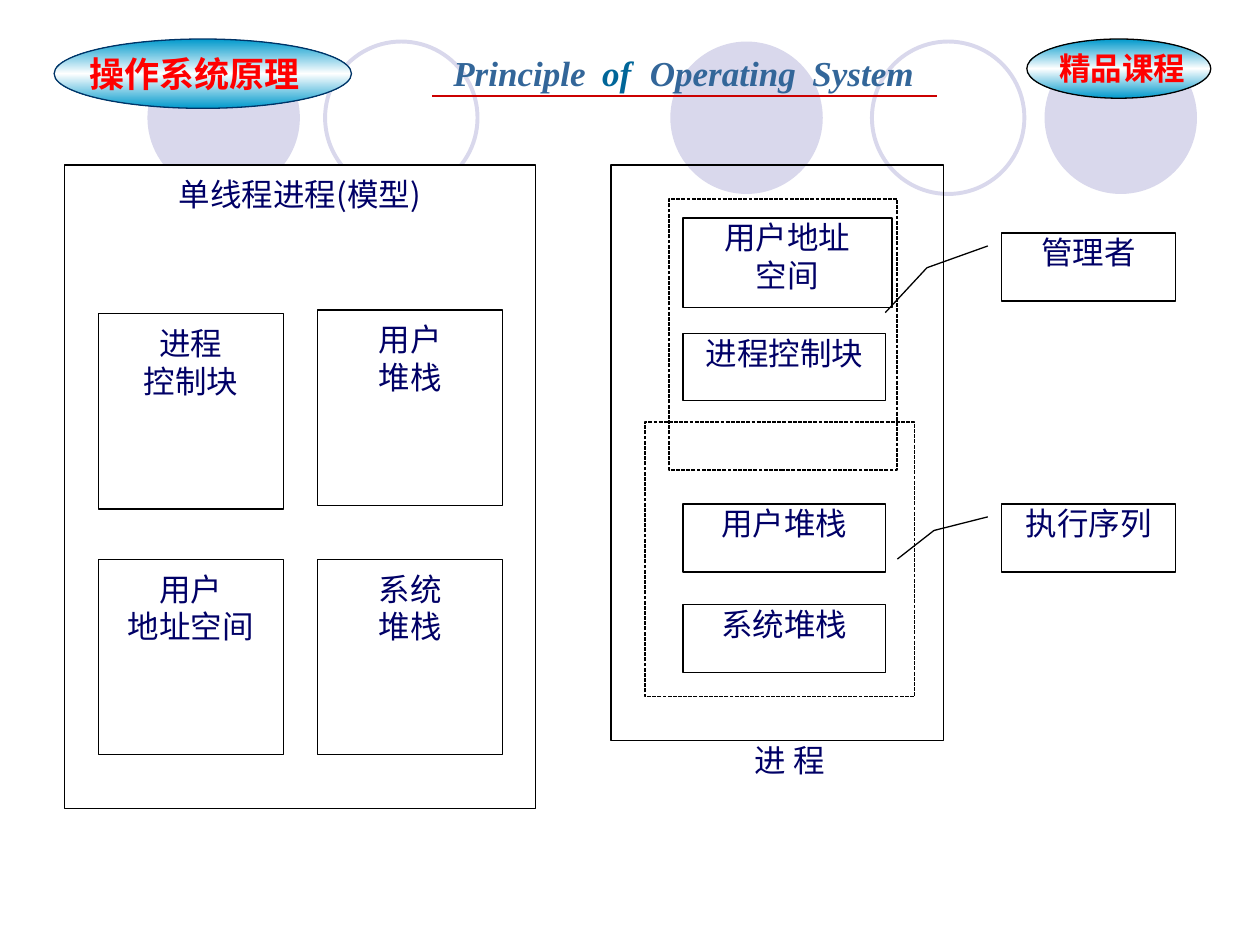
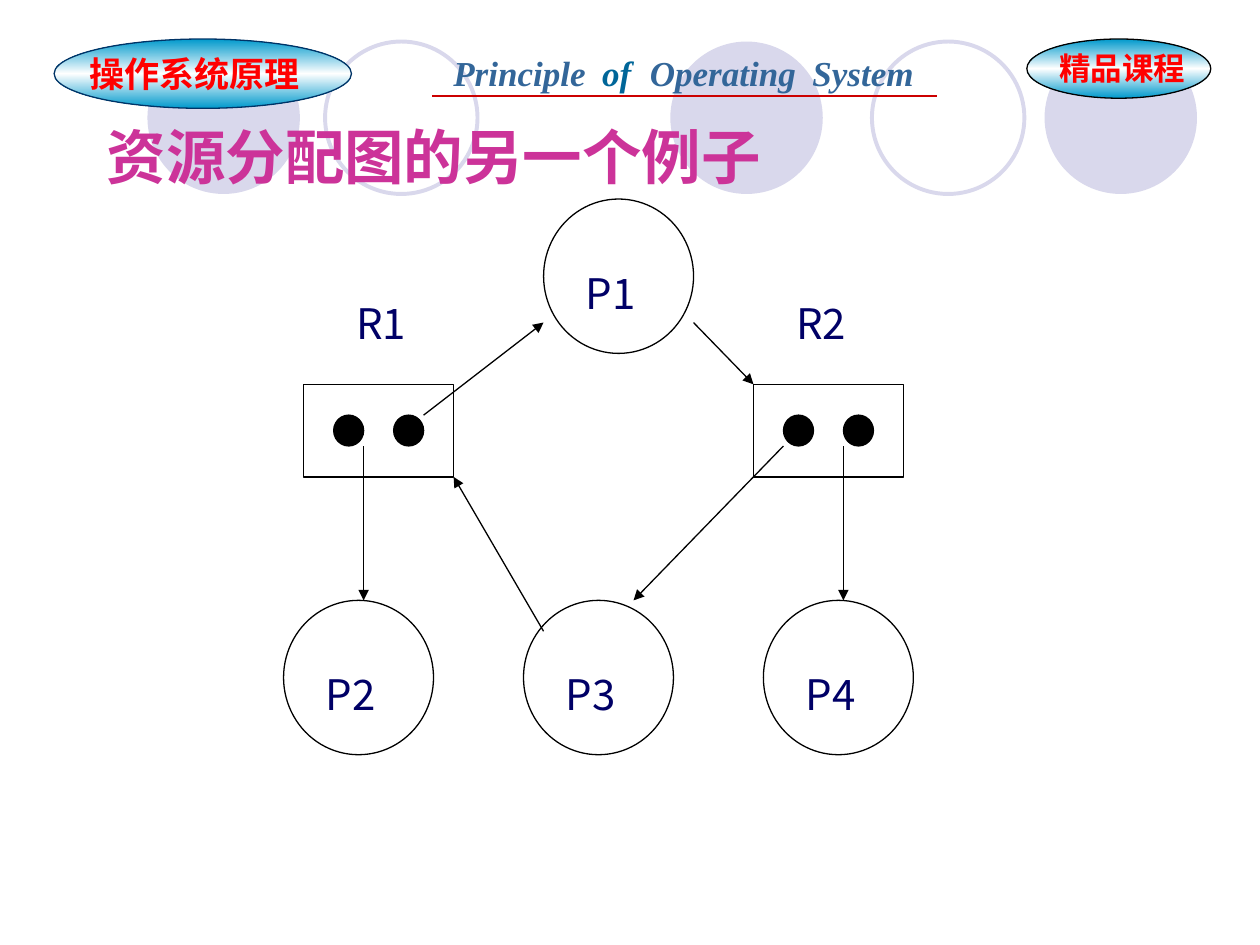
"""Build two operating-system course slides: a process model and a resource graph."""
from copy import deepcopy

from pptx import Presentation
from pptx.dml.color import RGBColor
from pptx.enum.dml import MSO_LINE
from pptx.enum.shapes import MSO_CONNECTOR, MSO_SHAPE
from pptx.enum.text import MSO_ANCHOR, PP_ALIGN
from pptx.oxml.ns import qn
from pptx.util import Inches, Pt

RECT, OVAL, CALL = MSO_SHAPE.RECTANGLE, MSO_SHAPE.OVAL, MSO_SHAPE.LINE_CALLOUT_2
LEFT, MID = PP_ALIGN.LEFT, PP_ALIGN.CENTER
TOP, HALF = MSO_ANCHOR.TOP, MSO_ANCHOR.MIDDLE
DASH, LINE = MSO_LINE.SQUARE_DOT, MSO_CONNECTOR.STRAIGHT

HUE = {
    "white": "FFFFFF", "black": "000000", "navy": "000066", "lilac": "D9D8EC",
    "aqua": "0099CC", "deep": "003366", "red": "FF0000", "rule": "CC0000",
    "steel": "336699", "teal": "006699", "pink": "CC3399",
}
RGB = {name: RGBColor.from_string(code) for name, code in HUE.items()}
CJK, SERIF, SANS = "Noto Sans CJK JP", "Times New Roman", "Arial"

deck = Presentation()
deck.slide_width, deck.slide_height = Inches(10), Inches(7.5)
COL, ROW = deck.slide_width / 100, deck.slide_height / 75


def draw(page, kind, box, fill=None, edge=None, width=0.74):
    """Place a shape on the grid; box is column, row, columns wide, rows high."""
    x, y, w, h = box
    item = page.shapes.add_shape(kind, round(x * COL), round(y * ROW), round(w * COL), round(h * ROW))
    item.shadow.inherit = False
    if fill:
        item.fill.solid()
        item.fill.fore_color.rgb = RGB[fill]
    else:
        item.fill.background()
    if edge:
        item.line.color.rgb = RGB[edge]
        item.line.width = Pt(width)
    else:
        item.line.fill.background()
    return item


def write(item, lines, hue="navy", face=CJK, align=MID, anchor=TOP, pad=(1, 0.5), wrap=True, **form):
    """Fill a shape with lines, each one a string or a list of (text, hue) runs."""
    frame = item.text_frame
    side, top = round(pad[0] * COL), round(pad[1] * ROW)
    look = {"margin_left": side, "margin_right": side, "margin_top": top,
            "margin_bottom": 0, "word_wrap": wrap, "vertical_anchor": anchor}
    for key, value in look.items():
        setattr(frame, key, value)
    for i, line in enumerate(lines):
        para = frame.add_paragraph() if i else frame.paragraphs[0]
        para.alignment = align
        for text, tint in [(line, hue)] if isinstance(line, str) else line:
            run = para.add_run()
            run.text = text
            run.font.color.rgb = RGB[tint]
            for key, value in {"name": face, "size": Pt(18), **form}.items():
                setattr(run.font, key, value)
            run.font._element.get_or_add_latin().addnext(
                run.font._element.makeelement(qn("a:ea"), {"typeface": CJK}))


pages = [deck.slides.add_slide(deck.slide_layouts[6]) for _ in range(2)]
links = []
for page in pages:
    for x, full in ((53.2, True), (82.9, True), (11.7, True), (69.2, False), (25.8, False)):
        draw(page, OVAL, (x, 3.3, 12.1, 12.1), "lilac" if full else None, None if full else "lilac", 2.24)

    for box, edge in (((4.3, 3.1, 23.6, 5.5), "deep"), ((81.5, 3.1, 14.6, 4.7), "black")):
        badge = draw(page, OVAL, box, "white", edge)
        badge.fill.gradient()
        badge.fill.gradient_angle = 90
        stops = badge._element.xpath(".//a:gsLst")[0]
        stops.insert(1, deepcopy(stops[0]))
        for stop, spot, hue in zip(badge.fill.gradient_stops, (0, 0.5, 1), ("aqua", "white", "aqua")):
            stop.position = spot
            stop.color.rgb = RGB[hue]

    write(draw(page, RECT, (6.1, 3.7, 18.7, 4.4)), ["操作系统原理"], "red", SERIF, LEFT,
          wrap=False, size=Pt(20), bold=True)
    write(draw(page, RECT, (83.1, 3.4, 13.8, 4)), ["精品课程"], "red", SANS, LEFT, bold=True)
    motto = draw(page, RECT, (35, 3.6, 39.3, 4.4))
    write(motto, [[("Principle\t", "steel"), ("of\t", "teal"), ("Operating\tSystem", "steel")]],
          face=SERIF, align=LEFT, size=Pt(20), bold=True, italic=True)
    props = motto.text_frame.paragraphs[0]._p.get_or_add_pPr()
    tabs = props.makeelement(qn("a:tabLst"), {})
    props.append(tabs)
    for spot in (11.8, 15.6, 28.5):
        tabs.append(tabs.makeelement(qn("a:tab"), {"pos": str(round(spot * COL)), "algn": "l"}))
    links.append((page, (34.3, 7.6, 74.4, 7.6), "rule", 0.99, False))

model, graph = pages

draw(model, RECT, (48.5, 13.1, 26.4, 45.7), None, "black")
for y, w, h, lines in (
    (17.3, 16.6, 7.1, ["用户地址", "空间"]),
    (26.5, 16.1, 5.3, ["进程控制块"]),
    (40, 16.1, 5.4, ["用户堆栈"]),
    (48, 16.1, 5.4, ["系统堆栈"]),
):
    write(draw(model, RECT, (54.2, y, w, h), "white", "black"), lines, pad=(0, 0))
write(draw(model, RECT, (51.2, 58.8, 23, 5.4)), ["进 程"], pad=(1, 0))

for y, text, bends in (
    (18.5, "管理者", (0.19, -0.08, 0.51, -0.43, 1.17, -0.67)),
    (40, "执行序列", (0.19, -0.08, 0.39, -0.39, 0.81, -0.6)),
):
    note = draw(model, CALL, (79.5, y, 13.8, 5.4), "white", "black")
    for i, bend in enumerate(bends):
        note.adjustments[i] = bend
    write(note, [text], pad=(1, 0))

for box in ((53.1, 15.8, 18.1, 21.5), (51.2, 33.5, 21.4, 21.8)):
    draw(model, RECT, box, None, "black").line.dash_style = DASH

write(draw(model, RECT, (5.1, 13.1, 37.4, 51.1), "white", "black"), ["单线程进程(模型)"], pad=(1, 0.8))
for x, y, lines in (
    (7.8, 24.9, ["进程", "控制块"]),
    (25.2, 24.6, ["用户", "堆栈"]),
    (7.8, 44.4, ["用户", "地址空间"]),
    (25.2, 44.4, ["系统", "堆栈"]),
):
    write(draw(model, RECT, (x, y, 14.7, 15.5), "white", "black"), lines, pad=(0, 0.8))

write(draw(graph, RECT, (7.5, 6.1, 85, 12.5)), ["资源分配图的另一个例子"], "pink", SANS, LEFT, HALF,
      pad=(1, 0), size=Pt(34), bold=True)

X, Y, U, V = 24.1, 15.8, 2.38, 2.45
for x, text in ((27.3, "R1"), (62.2, "R2")):
    write(draw(graph, RECT, (x, Y + 3 * V, 4 * U, 2 * V), "white", "white"), [text], align=LEFT, size=Pt(24))
for text, c, r in (("P2", -0.67, 13), ("P3", 7.33, 13), ("P4", 15.33, 13), ("P1", 8, 0)):
    x, y = X + c * U, Y + r * V
    draw(graph, OVAL, (x, y, 5 * U, 5 * V), "white", "black")
    write(draw(graph, RECT, (x + U, y + 2 * V, 3 * U, 2 * V), "white", "white"), [text],
          align=LEFT, size=Pt(24))
for c in (15, 0):
    draw(graph, RECT, (X + c * U, Y + 6 * V, 5 * U, 3 * V), "white", "black")
    for step in (1, 3):
        draw(graph, OVAL, (X + (c + step) * U, Y + 7 * V, U, V), "black", "black")

for a, b, c, d in ((4, 7, 8, 4), (13, 4, 15, 6), (18, 8, 18, 13),
                   (16, 8, 11, 13), (8, 14, 5, 9), (2, 8, 2, 13)):
    links.append((graph, (X + a * U, Y + b * V, X + c * U, Y + d * V), "black", 0.74, True))

for page, (a, b, c, d), hue, width, arrow in links:
    link = page.shapes.add_connector(LINE, round(a * COL), round(b * ROW), round(c * COL), round(d * ROW))
    link.line.color.rgb = RGB[hue]
    link.line.width = Pt(width)
    props = link._element.spPr
    props.append(props.makeelement(qn("a:effectLst"), {}))
    if arrow:
        edge = link.line._get_or_add_ln()
        edge.append(edge.makeelement(qn("a:tailEnd"), {"type": "triangle"}))

deck.save("out.pptx")
